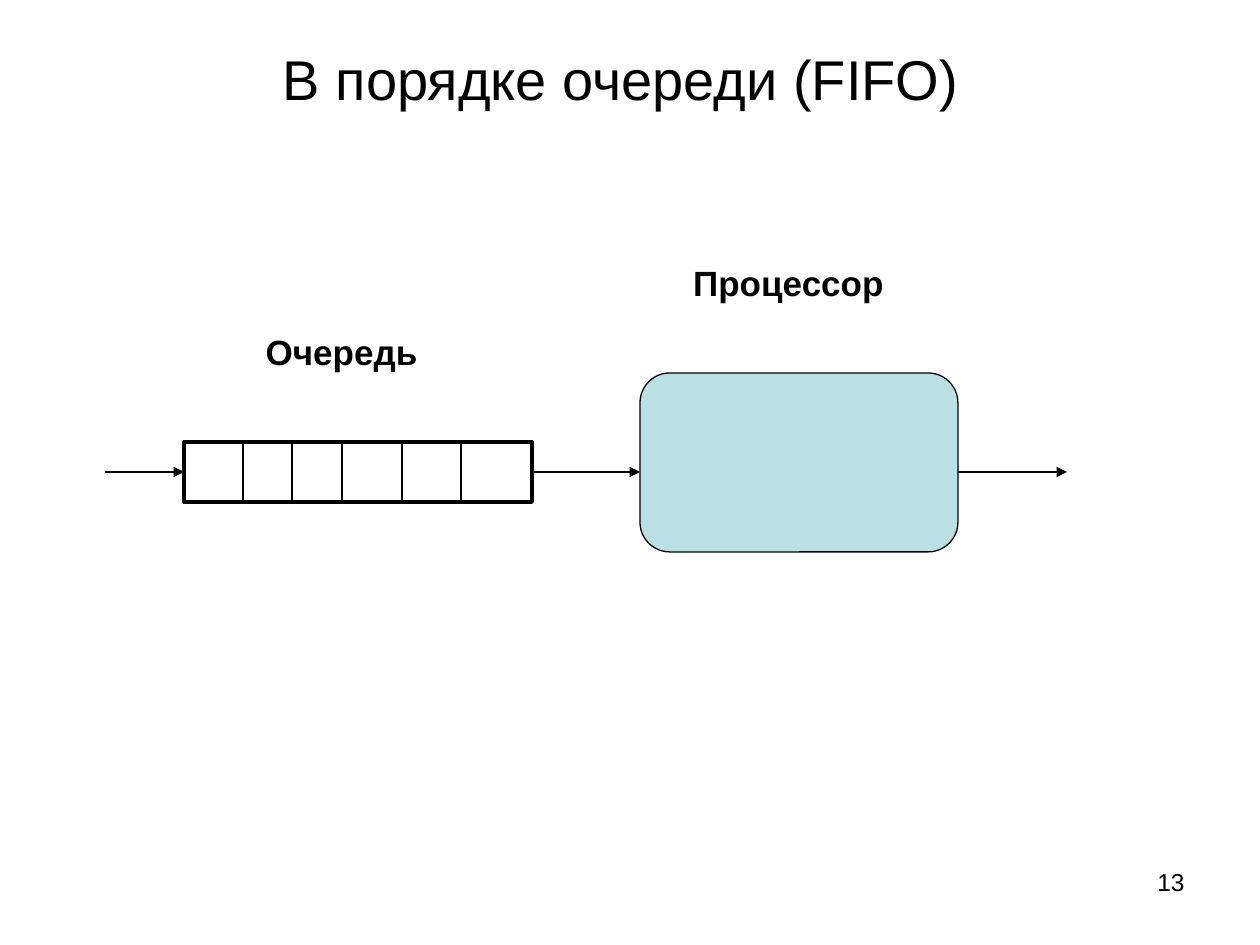
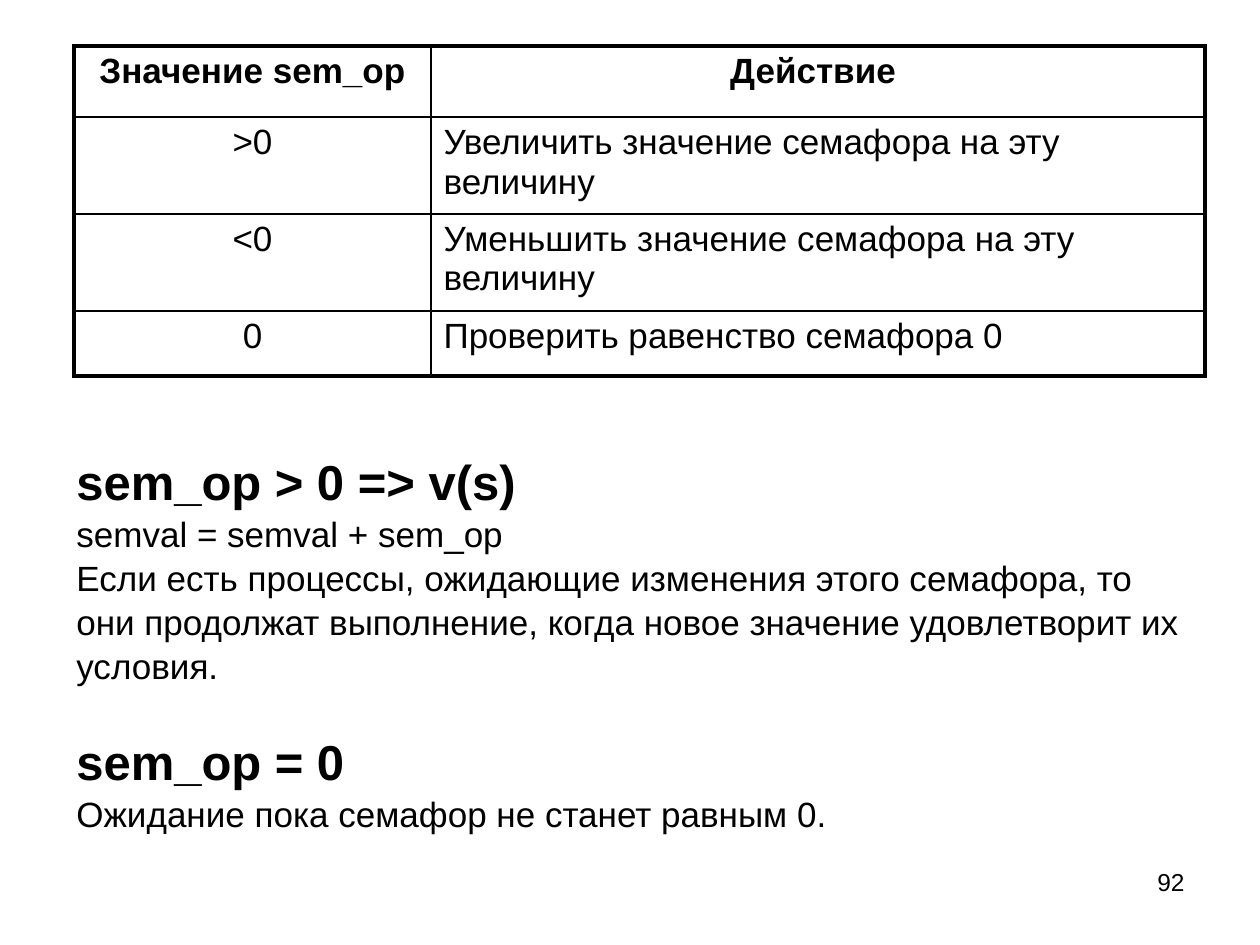
from lxml import etree
from pptx import Presentation
from pptx.dml.color import RGBColor
from pptx.enum.shapes import MSO_CONNECTOR as Link, MSO_SHAPE as Shape
from pptx.enum.text import MSO_ANCHOR as Anchor, MSO_AUTO_SIZE as Fit, PP_ALIGN as Align
from pptx.oxml.ns import qn
from pptx.util import Emu, Pt

BLACK = RGBColor(0x00, 0x00, 0x00)
PALE_TEAL = RGBColor(0xBB, 0xE0, 0xE3)

SCALE = 914400 / 126  # EMU in one px
TITLE_ONLY, BLANK = 5, 6
LEFT_SIDE, RIGHT_SIDE = 1, 3
THICK, THIN = 2.25, 1

PLAIN = {"size": Pt(20), "bold": False}
BOLD = {"size": Pt(20), "bold": True}
HEADING = {"size": Pt(28), "bold": True}
TITLE = {"size": Pt(32), "bold": False}
NUMBER = {"size": Pt(14), "bold": False}


def px(*lengths):
    return [Emu(round(length * SCALE)) for length in lengths]


class Deck:
    def __init__(self, width, height):
        self.show = Presentation()
        self.show.slide_width, self.show.slide_height = px(width, height)
        self.page = None

    def new_page(self, layout, number):
        self.page = self.show.slides.add_slide(self.show.slide_layouts[layout])
        self.text((903, 861, 294, 66), [(number, NUMBER)], Align.RIGHT)

    def fill_para(self, para, words, style, align):
        para.alignment = align
        span = para.add_run()
        span.text = words
        span.font.color.rgb = BLACK
        for name, value in {"name": "Arial", **style}.items():
            setattr(span.font, name, value)

    def title(self, area, words):
        box = self.page.shapes.title
        box.left, box.top, box.width, box.height = px(*area)
        box.text_frame.auto_size = Fit.NONE
        box.text_frame.vertical_anchor = Anchor.MIDDLE
        self.fill_para(box.text_frame.paragraphs[0], words, TITLE, Align.CENTER)

    def text(self, area, lines, align=Align.LEFT, spacing=1.0, heading_gap=0):
        frame = self.page.shapes.add_textbox(*px(*area)).text_frame
        frame.word_wrap = True
        for index, (words, style) in enumerate(lines):
            para = frame.add_paragraph() if index else frame.paragraphs[0]
            para.line_spacing = spacing
            if index and style is HEADING:
                para.space_before = Pt(heading_gap)
            self.fill_para(para, words, style, align)

    def block(self, kind, area, weight, fill=None):
        shape = self.page.shapes.add_shape(kind, *px(*area))
        shape.shadow.inherit = False
        if fill is None:
            shape.fill.background()
        else:
            shape.fill.solid()
            shape.fill.fore_color.rgb = fill
        shape.line.color.rgb = BLACK
        shape.line.width = Pt(weight)
        return shape

    def line(self, start, end, weight, arrow=False):
        link = self.page.shapes.add_connector(Link.STRAIGHT, *px(*start, *end))
        link.line.color.rgb = BLACK
        link.line.width = Pt(weight)
        properties = link._element.spPr
        if arrow:
            etree.SubElement(properties.find(qn("a:ln")), qn("a:tailEnd"), type="triangle")
        etree.SubElement(properties, qn("a:effectLst"))
        return link

    def border(self, cell, side, weight):
        edge = etree.SubElement(cell._tc.get_or_add_tcPr(), qn(f"a:ln{side}"), w=str(Pt(weight)))
        fill = etree.SubElement(edge, qn("a:solidFill"))
        etree.SubElement(fill, qn("a:srgbClr"), val=str(BLACK))

    def table(self, left, top, widths, heights, rows):
        area = px(left, top, sum(widths), sum(heights))
        table = self.page.shapes.add_table(len(rows), len(widths), *area).table
        table.first_row = table.horz_banding = False
        for column, width in zip(table.columns, px(*widths)):
            column.width = width
        for row, height in zip(table.rows, px(*heights)):
            row.height = height
        last_row, last_column = len(rows) - 1, len(widths) - 1
        for r, row in enumerate(rows):
            for c, words in enumerate(row):
                cell = table.cell(r, c)
                # Thick outer frame, thin inner rules
                outer = {"L": c == 0, "R": c == last_column, "T": r == 0, "B": r == last_row}
                for side, is_outer in outer.items():
                    self.border(cell, side, THICK if is_outer else THIN)
                cell.fill.background()
                align = Align.CENTER if r == 0 or c == 0 else Align.LEFT
                style = PLAIN if r else BOLD
                self.fill_para(cell.text_frame.paragraphs[0], words, style, align)


def queue_page(deck):
    deck.new_page(TITLE_ONLY, "13")
    deck.title((54, 35, 1134, 87), "В порядке очереди (FIFO)")

    # Queue with its slots, and the processor
    left, top, width, height = 184, 442, 348, 60
    middle = top + height // 2
    queue = deck.block(Shape.RECTANGLE, (left, top, width, height), 2.25)
    deck.block(Shape.ROUNDED_RECTANGLE, (640, 373, 318, 179), 0.75, PALE_TEAL)
    for x in (243, 292, 342, 402, 461):
        deck.line((x, top), (x, top + height), 0.75)

    # Flow from arrival to exit
    arrival = deck.line((105, middle), (left, middle), 1.5, arrow=True)
    arrival.end_connect(queue, LEFT_SIDE)
    service = deck.line((left + width, middle), (640, middle), 1.5, arrow=True)
    service.begin_connect(queue, RIGHT_SIDE)
    deck.line((958, middle), (1067, middle), 1.5, arrow=True)

    # Labels
    deck.text((650, 255, 277, 54), [("Процессор", BOLD)], Align.CENTER)
    deck.text((193, 324, 297, 54), [("Очередь", BOLD)], Align.CENTER)


def semaphore_page(deck):
    deck.new_page(BLANK, "92")
    deck.table(74, 46, (357, 774), (71, 97, 97, 65), [
        ("Значение sem_op", "Действие "),
        (">0", "Увеличить значение семафора на эту величину"),
        ("<0", "Уменьшить значение семафора на эту величину"),
        ("0", "Проверить равенство семафора 0"),
    ])
    deck.text((64, 442, 1131, 382), [
        ("sem_op > 0 => v(s)", HEADING),
        ("semval = semval + sem_op", PLAIN),
        ("Если есть процессы, ожидающие изменения этого семафора, то они продолжат "
         "выполнение, когда новое значение удовлетворит их условия.", PLAIN),
        ("sem_op = 0", HEADING),
        ("Ожидание пока семафор не станет равным 0.", PLAIN),
    ], spacing=1.05, heading_gap=24)


def main():
    deck = Deck(1260, 945)
    queue_page(deck)
    semaphore_page(deck)
    deck.show.save("out.pptx")


if __name__ == "__main__":
    main()
